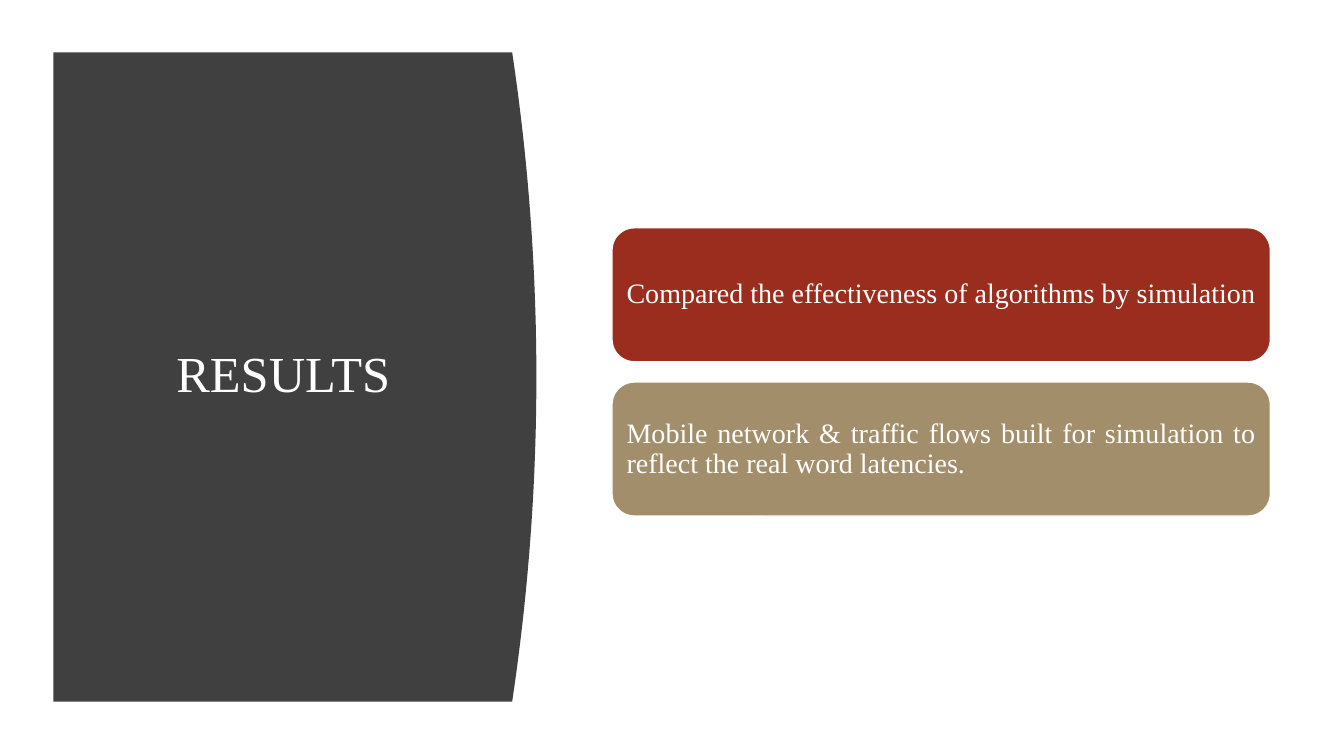
"""Build the results slide: a curved title panel beside two finding cards."""
import dataclasses

import pptx
import pptx.dml.color
import pptx.enum.shapes
import pptx.enum.text
import pptx.util

Inches = pptx.util.Inches
Align = pptx.enum.text.PP_ALIGN


@dataclasses.dataclass(frozen=True)
class Theme:
    font: str = "Times New Roman"
    title_size: int = 36
    card_size: int = 20
    line_spacing: float = 0.9
    white: str = "FFFFFF"
    panel: str = "404040"
    red: str = "9B2D1F"
    tan: str = "A28E6A"


class ResultsSlide:
    def __init__(self, deck, theme):
        self.theme = theme
        self.page = deck.slides.add_slide(deck.slide_layouts[5])

    def color(self, value):
        return pptx.dml.color.RGBColor.from_string(value)

    def fill(self, shape, value):
        shape.shadow.inherit = False
        shape.fill.solid()
        shape.fill.fore_color.rgb = self.color(value)

    def set_text(self, shape, text, size, alignment):
        frame = shape.text_frame
        frame.text = text
        frame.word_wrap = True
        frame.auto_size = pptx.enum.text.MSO_AUTO_SIZE.NONE
        frame.vertical_anchor = pptx.enum.text.MSO_ANCHOR.MIDDLE
        para = frame.paragraphs[0]
        para.alignment = alignment
        para.line_spacing = self.theme.line_spacing
        for span in para.runs:
            span.font.name = self.theme.font
            span.font.size = pptx.util.Pt(size)
            span.font.color.rgb = self.color(self.theme.white)

    def title(self, text, left, top, width, height):
        box = self.page.shapes.title
        box.left, box.top = Inches(left), Inches(top)
        box.width, box.height = Inches(width), Inches(height)
        self.set_text(box, text, self.theme.title_size, Align.CENTER)

    def curved_panel(self, left, top, right, bottom, bulge, steps=40):
        middle, half = (top + bottom) / 2, (bottom - top) / 2
        edge = []
        for step in range(steps + 1):
            offset = 2 * step / steps - 1
            x = right + bulge * (1 - offset ** 2)
            edge.append((Inches(x), Inches(middle + half * offset)))
        builder = self.page.shapes.build_freeform(Inches(left), Inches(top), scale=1.0)
        builder.add_line_segments(edge + [(Inches(left), Inches(bottom))], close=True)
        panel = builder.convert_to_shape()
        self.fill(panel, self.theme.panel)
        panel.line.fill.background()
        self.page.shapes.title.element.addprevious(panel.element)

    def card(self, text, fill, left, top, width, height):
        box = self.page.shapes.add_shape(
            pptx.enum.shapes.MSO_SHAPE.ROUNDED_RECTANGLE,
            Inches(left), Inches(top), Inches(width), Inches(height))
        self.fill(box, fill)
        box.line.color.rgb = self.color(self.theme.white)
        box.line.width = pptx.util.Pt(1)
        frame = box.text_frame
        frame.margin_left = frame.margin_right = Inches(0.08)
        frame.margin_top = frame.margin_bottom = Inches(0.08)
        self.set_text(box, text, self.theme.card_size, Align.JUSTIFY)


def main():
    deck = pptx.Presentation()
    deck.slide_width, deck.slide_height = Inches(13.33), Inches(7.5)
    theme = Theme()
    slide = ResultsSlide(deck, theme)
    slide.curved_panel(left=0.53, top=0.52, right=5.08, bottom=6.96, bulge=0.24)
    slide.title("RESULTS", 0.94, 1.11, 3.74, 5.24)
    findings = [
        ("Compared the effectiveness of algorithms by simulation", theme.red),
        ("Mobile network & traffic flows built for simulation to reflect "
         "the real word latencies.", theme.tan),
    ]
    for index, (text, fill) in enumerate(findings):
        slide.card(text, fill, 6.07, 2.26 + 1.53 * index, 6.53, 1.33)
    deck.save("out.pptx")


if __name__ == "__main__":
    main()
